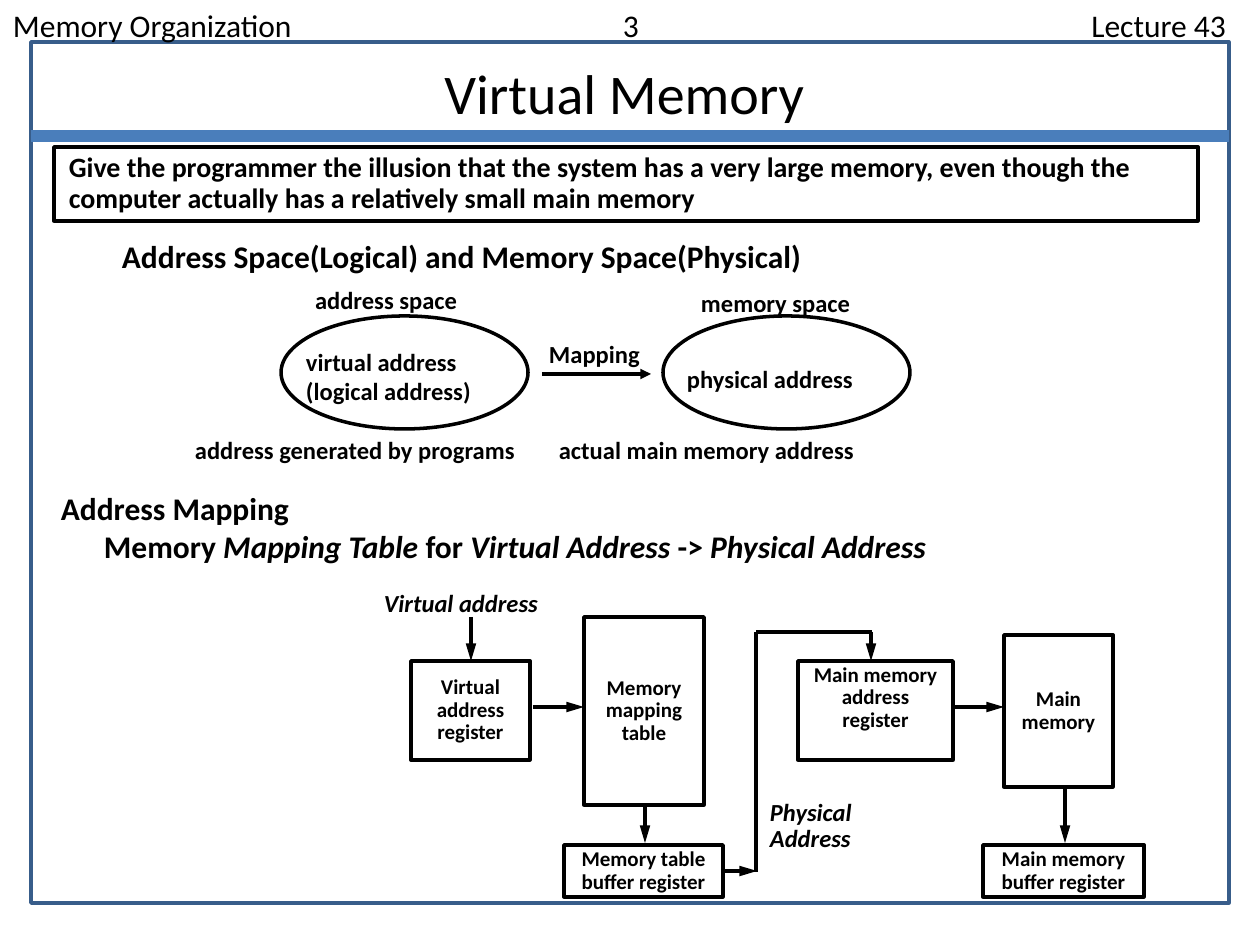
from lxml import etree
from pptx import Presentation
from pptx.dml.color import RGBColor
from pptx.enum.shapes import MSO_CONNECTOR, MSO_SHAPE
from pptx.enum.text import MSO_ANCHOR, PP_ALIGN
from pptx.oxml.ns import qn
from pptx.util import Emu, Pt

EMU_PER_PX = 914400 / 126
BLACK = "000000"


def px(n):
    return Emu(round(n * EMU_PER_PX))


def color(hex_string):
    return RGBColor.from_string(hex_string)


def set_tabs(p, tabs):
    tab_list = etree.SubElement(p._p.get_or_add_pPr(), qn("a:tabLst"))
    for pos, align in tabs:
        etree.SubElement(tab_list, qn("a:tab"), pos=str(px(pos)), algn=align)


def write(sp, lines, size=14, bold=True, italic=False, align=PP_ALIGN.LEFT,
          anchor=MSO_ANCHOR.TOP, spacing=1.0, insets=(9, 4, 9, 4), indents=(), tabs=()):
    tf = sp.text_frame
    tf.word_wrap = True
    tf.vertical_anchor = anchor
    tf.margin_left, tf.margin_top, tf.margin_right, tf.margin_bottom = map(px, insets)
    for i, line in enumerate(lines):
        p = tf.paragraphs[0] if i == 0 else tf.add_paragraph()
        p.alignment = align
        p.line_spacing = spacing
        if indents:
            p._p.get_or_add_pPr().set("marL", str(px(indents[i])))
        if tabs:
            set_tabs(p, tabs)
        parts = [line] if isinstance(line, str) else line
        for j, part in enumerate(parts):
            r = p.add_run()
            r.text = part
            r.font.name = "Calibri"
            r.font.size = Pt(size)
            r.font.bold = bold
            r.font.italic = italic or j % 2 == 1
            r.font.color.rgb = color(BLACK)


def add_label(s, at, *lines, **fmt):
    write(s.shapes.add_textbox(*map(px, at)), lines, **fmt)


def add_outline(s, at, kind=MSO_SHAPE.RECTANGLE, line=BLACK):
    sp = s.shapes.add_shape(kind, *map(px, at))
    sp.shadow.inherit = False
    sp.fill.background()
    sp.line.color.rgb = color(line)
    sp.line.width = Pt(2)
    return sp


def add_block(s, at, *lines, anchor=MSO_ANCHOR.MIDDLE):
    write(add_outline(s, at), lines, size=12, align=PP_ALIGN.CENTER,
          anchor=anchor, spacing=0.9, insets=(2, 3, 2, 3))


def add_line(s, start, end, line=BLACK, width=2, head=None):
    c = s.shapes.add_connector(MSO_CONNECTOR.STRAIGHT, *map(px, start + end))
    c.line.color.rgb = color(line)
    c.line.width = Pt(width)
    if head:
        etree.SubElement(c.line._get_or_add_ln(), qn("a:tailEnd"),
                         type="triangle", w="med", len=head)
    etree.SubElement(c._element.spPr, qn("a:effectLst"))


def add_header(s):
    add_outline(s, (31, 42, 1198, 861), line="385D8A")
    add_label(s, (0, 0, 1260, 89), "Memory Organization\t3\tLecture 43", size=18, bold=False,
              insets=(13, 6, 13, 6), tabs=((618, "ctr"), (1213, "r")))
    add_line(s, (31, 136), (1229, 136), line="4A7EBB", width=6.75)
    add_label(s, (94, 53, 1061, 81), "Virtual Memory", size=32, bold=False,
              align=PP_ALIGN.CENTER, insets=(13, 6, 13, 6))
    write(add_outline(s, (54, 147, 1144, 74)),
          ["Give the programmer the illusion that the system has a very large memory, "
           "even though the computer actually has a relatively small main memory"],
          size=16, anchor=MSO_ANCHOR.MIDDLE, spacing=0.9, insets=(15, 4, 15, 4))


def add_spaces(s):
    add_label(s, (113, 233, 730, 45), "Address Space(Logical) and Memory Space(Physical)", size=18)
    for left in (281, 663):
        add_outline(s, (left, 316, 247, 113), kind=MSO_SHAPE.OVAL)
    add_label(s, (297, 343, 200, 67), "virtual address", "(logical address)")
    add_line(s, (542, 374), (651, 374), head="med")
    for left, top, width, text in (
        (678, 360, 200, "physical address"),
        (306, 281, 180, "address space"),
        (692, 284, 180, "memory space"),
        (186, 431, 350, "address generated by programs"),
        (550, 431, 330, "actual main memory address"),
        (540, 335, 120, "Mapping"),
    ):
        add_label(s, (left, top, width, 37), text)


def add_mapping(s):
    add_label(s, (52, 485, 920, 83), "Address Mapping",
              ["Memory ", "Mapping Table", " for ", "Virtual Address", " -> ", "Physical Address"],
              size=18, indents=(0, 43))
    flow = dict(italic=True, spacing=0.9, insets=(13, 6, 13, 6))
    add_label(s, (371, 585, 200, 39), "Virtual address", **flow)
    add_label(s, (757, 794, 140, 66), "Physical", "Address", **flow)

    add_block(s, (411, 661, 119, 99), "Virtual", "address", "register")
    add_block(s, (584, 617, 120, 188), "Memory", "mapping", "table")
    add_block(s, (564, 845, 159, 52), "Memory table", "buffer register")
    add_block(s, (798, 661, 155, 99), "Main memory", "address", "register",
              anchor=MSO_ANCHOR.TOP)
    add_block(s, (1004, 635, 109, 152), "Main", "memory")
    add_block(s, (983, 845, 161, 52), "Main memory", "buffer register")

    for start, end in (
        ((471, 617), (471, 661)),
        ((533, 707), (584, 707)),
        ((645, 805), (645, 843)),
        ((724, 871), (757, 871)),
        ((871, 632), (871, 661)),
        ((953, 707), (1004, 707)),
        ((1065, 788), (1065, 843)),
    ):
        add_line(s, start, end, head="lg")
    add_line(s, (756, 632), (756, 872))
    add_line(s, (756, 632), (872, 632))


def main():
    prs = Presentation()
    prs.slide_width, prs.slide_height = px(1260), px(945)
    s = prs.slides.add_slide(prs.slide_layouts[6])
    add_header(s)
    add_spaces(s)
    add_mapping(s)
    prs.save("out.pptx")


if __name__ == "__main__":
    main()
